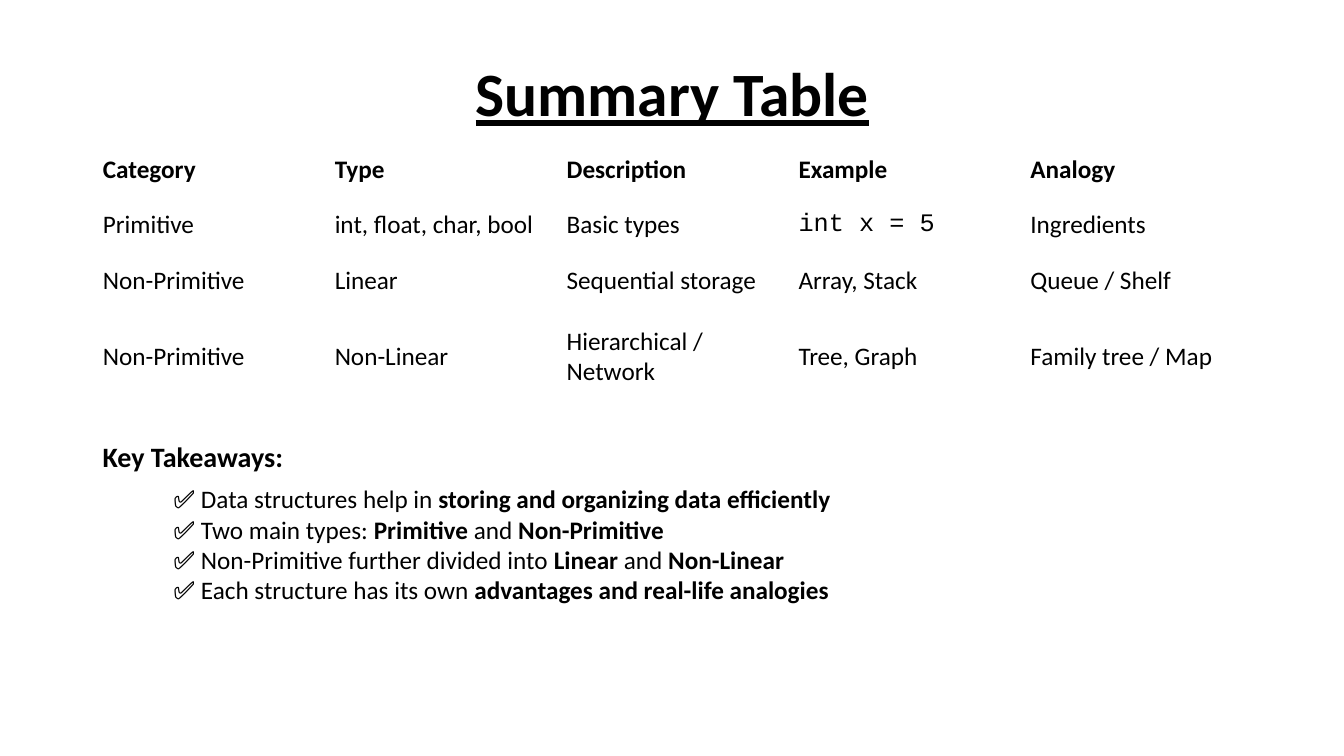
from pptx import Presentation
from pptx.dml.color import RGBColor
from pptx.enum.text import MSO_ANCHOR, PP_ALIGN
from pptx.util import Inches, Pt

BLACK = RGBColor(0x00, 0x00, 0x00)
WHITE = RGBColor(0xFF, 0xFF, 0xFF)
MARGIN = 0.92
COLUMN = 2.3
ROW = 0.55
LAST_ROW = 0.96

SUMMARY = [
    ["Category", "Type", "Description", "Example", "Analogy"],
    ["Primitive", "int, float, char, bool", "Basic types", "int x = 5", "Ingredients"],
    ["Non-Primitive", "Linear", "Sequential storage", "Array, Stack", "Queue / Shelf"],
    ["Non-Primitive", "Non-Linear", "Hierarchical / Network", "Tree, Graph", "Family tree / Map"],
]
CODE = "int x = 5"
TAKEAWAYS = [
    "✅ Data structures help in **storing and organizing data efficiently**",
    "✅ Two main types: **Primitive** and **Non-Primitive**",
    "✅ Non-Primitive further divided into **Linear** and **Non-Linear**",
    "✅ Each structure has its own **advantages and real-life analogies**",
]


def write(frame, lines, size=18, font="Calibri", bold=False, underline=False,
          align=PP_ALIGN.LEFT, spacing=1.0):
    """Fill a text frame with lines, where ** switches bold on and off."""
    frame.word_wrap = True
    for number, line in enumerate(lines):
        paragraph = frame.paragraphs[0] if number == 0 else frame.add_paragraph()
        paragraph.alignment = align
        paragraph.line_spacing = spacing
        for part, words in enumerate(line.split("**")):
            if words:
                run = paragraph.add_run()
                run.text = words
                run.font.name = font
                run.font.size = Pt(size)
                run.font.bold = bold or part % 2 == 1
                run.font.underline = underline
                run.font.color.rgb = BLACK


def add_text(slide, left, top, width, height, lines, anchor=MSO_ANCHOR.TOP, **text_format):
    """Place a text box, in inches, and write its lines."""
    box = slide.shapes.add_textbox(Inches(left), Inches(top), Inches(width), Inches(height))
    box.text_frame.vertical_anchor = anchor
    write(box.text_frame, lines, **text_format)


def add_summary(slide, left, top, rows):
    """Place the plain summary table with equal columns and a taller last row."""
    heights = [ROW] * (len(rows) - 1) + [LAST_ROW]
    columns = len(rows[0])
    summary = slide.shapes.add_table(
        len(rows), columns, Inches(left), Inches(top),
        Inches(columns * COLUMN), Inches(sum(heights))).table
    summary.first_row = False
    summary.horz_banding = False
    for r, (entries, height) in enumerate(zip(rows, heights)):
        summary.rows[r].height = Inches(height)
        for c, entry in enumerate(entries):
            cell = summary.cell(r, c)
            cell.fill.background()
            cell.vertical_anchor = MSO_ANCHOR.MIDDLE
            write(cell.text_frame, [entry], bold=r == 0,
                  font="Courier New" if entry == CODE else "Calibri")


def main():
    """Build the summary slide and save it."""
    deck = Presentation()
    deck.slide_width, deck.slide_height = Inches(13.33), Inches(7.5)
    slide = deck.slides.add_slide(deck.slide_layouts[6])
    slide.background.fill.solid()
    slide.background.fill.fore_color.rgb = WHITE
    add_text(slide, MARGIN, 0.41, 5 * COLUMN, 2 * ROW, ["Summary Table"],
             anchor=MSO_ANCHOR.MIDDLE, size=44, bold=True, underline=True,
             align=PP_ALIGN.CENTER, spacing=0.9)
    add_summary(slide, MARGIN, 1.41, SUMMARY)
    add_text(slide, MARGIN, 4.31, 6.67, 0.44, ["Key Takeaways:"], size=20, bold=True)
    add_text(slide, MARGIN + 0.7, 4.75, 10.42, 1.31, TAKEAWAYS)
    deck.save("out.pptx")


if __name__ == "__main__":
    main()
